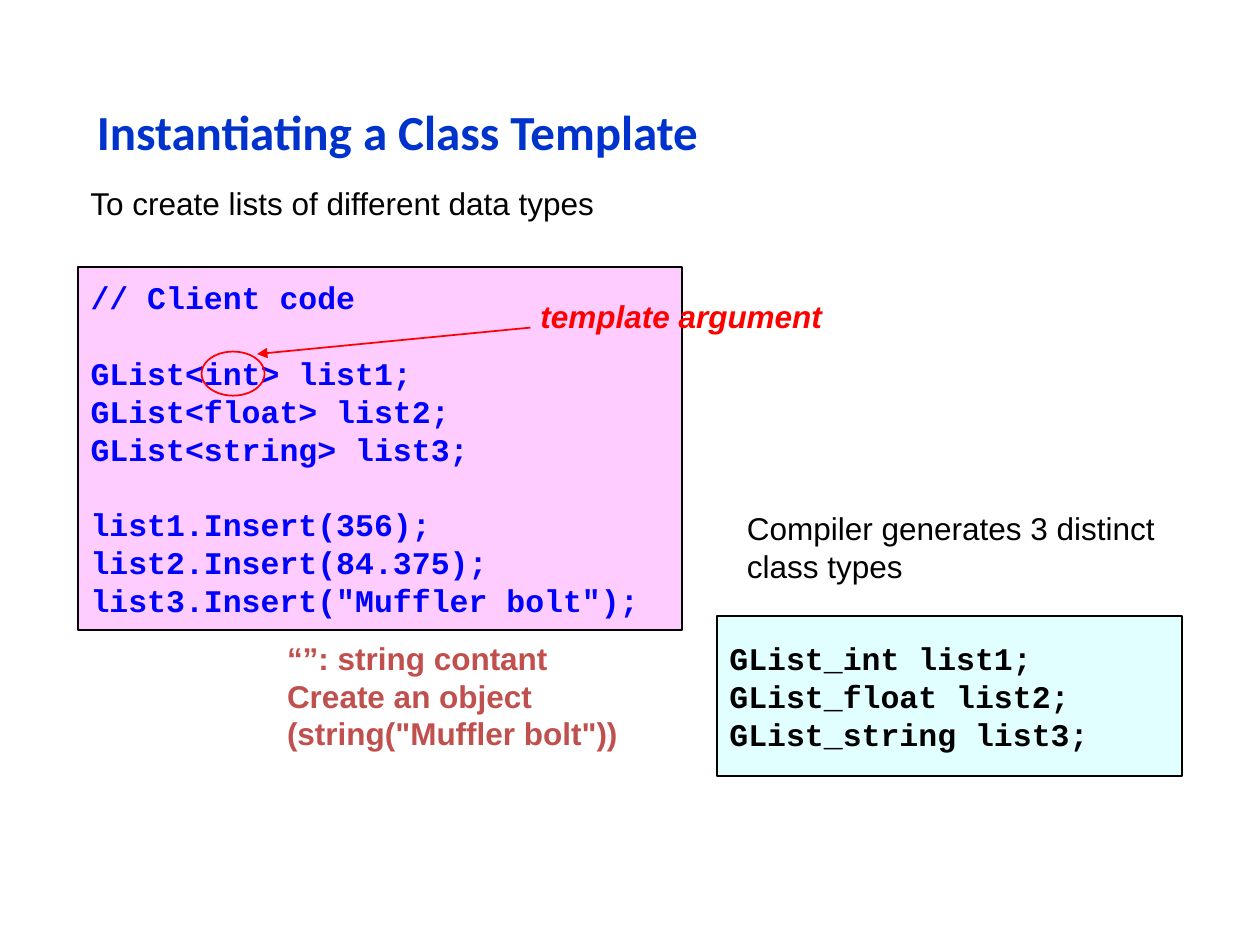
from lxml.etree import SubElement as Sub
from pptx import Presentation as Deck
from pptx.dml.color import RGBColor as Color
from pptx.enum.shapes import MSO_CONNECTOR as Link, MSO_SHAPE as Kind
from pptx.enum.text import MSO_ANCHOR as Anchor, PP_ALIGN as Align
from pptx.oxml.ns import qn
from pptx.util import Inches, Pt

COLS, ROWS = 100, 75
CELL = Inches(0.1)
SIZE = 18
LEAD = 1.2
BLUE, RED, BLACK = "0000FF", "FF0000", "000000"


def paint(tone):
    return Color.from_string(tone)


def grid(*cells):
    return [round(cell * CELL) for cell in cells]


def write(frame, lines, face="Arial", tone=BLACK, size=SIZE, bold=False,
          slant=False, gaps=(), anchor=Anchor.TOP):
    frame.word_wrap = True
    frame.vertical_anchor = anchor
    for num, line in enumerate(lines):
        para = frame.add_paragraph() if num else frame.paragraphs[0]
        para.text = line
        para.alignment = Align.LEFT
        para.line_spacing = Pt(size * LEAD)
        para.space_before = Pt(size * LEAD if num in gaps else 0)
        font = para.font
        font.name, font.size = face, Pt(size)
        font.bold, font.italic = bold, slant
        font.color.rgb = paint(tone)


def note(slide, box, *lines, **style):
    label = slide.shapes.add_textbox(*grid(*box))
    write(label.text_frame, lines, **style)


def outline(slide, kind, box, edge, fill=None):
    shape = slide.shapes.add_shape(kind, *grid(*box))
    shape.shadow.inherit = False
    if fill:
        shape.fill.solid()
        shape.fill.fore_color.rgb = paint(fill)
    else:
        shape.fill.background()
    shape.line.color.rgb = paint(edge)
    shape.line.width = Pt(1)
    return shape


def code(slide, box, fill, tone, lines, gaps=()):
    panel = outline(slide, Kind.RECTANGLE, box, BLACK, fill)
    write(panel.text_frame, lines, "Courier New", tone, bold=True,
          gaps=gaps, anchor=Anchor.MIDDLE)


def arrow(slide, start, end):
    line = slide.shapes.add_connector(Link.STRAIGHT, *grid(*start, *end))
    line.line.color.rgb = paint(RED)
    line.line.width = Pt(1)
    Sub(line.line._get_or_add_ln(), qn("a:tailEnd"), type="triangle")
    Sub(line._element.spPr, qn("a:effectLst"))


def callout(slide, box):
    left, top, wide, high = box
    outline(slide, Kind.OVAL, (left, top + 4.8, 5, 3.5), RED)
    arrow(slide, (left + 26.1, top + 2.9), (left + 4.4, top + 5))
    note(slide, (left + 25.9, top, wide - 25.9, 4), "template argument",
         tone=RED, bold=True, slant=True)


def client(slide, box):
    left, top, wide, high = box
    code(slide, box, "FFCCFF", BLUE, [
        "// Client code",
        "GList<int> list1;",
        "GList<float> list2;",
        "GList<string> list3;",
        "list1.Insert(356);",
        "list2.Insert(84.375);",
        'list3.Insert("Muffler bolt");',
    ], gaps=(1, 4))
    callout(slide, (left + 9.8, top + 1.9, 50.8, 8.3))
    note(slide, (left + 15.6, top + high + 0.2, 35, 10.1),
         "“”: string contant", "Create an object",
         '(string("Muffler bolt"))', tone="C0504D", bold=True)


def output(slide, box):
    left, top, wide, high = box
    note(slide, (left + 1.4, top, wide - 0.5, 9),
         "Compiler generates 3 distinct class types")
    code(slide, (left, top + 9, wide, high - 9), "E1FFFF", BLACK,
         [f"GList_{name} list{num};"
          for num, name in enumerate(("int", "float", "string"), 1)])


def header(slide, box):
    left, top, wide, high = box
    note(slide, (left + 0.5, top, wide, 7.4),
         "Instantiating a Class Template", face="Calibri", tone="0033CC",
         size=28, bold=True, anchor=Anchor.MIDDLE)
    note(slide, (left, top + 7.4, 66, high - 7.4),
         "To create lists of different data types")


def main():
    deck = Deck()
    deck.slide_width, deck.slide_height = grid(COLS, ROWS)
    slide = deck.slides.add_slide(deck.slide_layouts[6])
    header(slide, (6.2, 6.7, 85.8, 12.4))
    client(slide, (6.2, 21.2, 47.9, 28.8))
    output(slide, (56.9, 39.9, 36.9, 21.7))
    deck.save("out.pptx")


if __name__ == "__main__":
    main()
